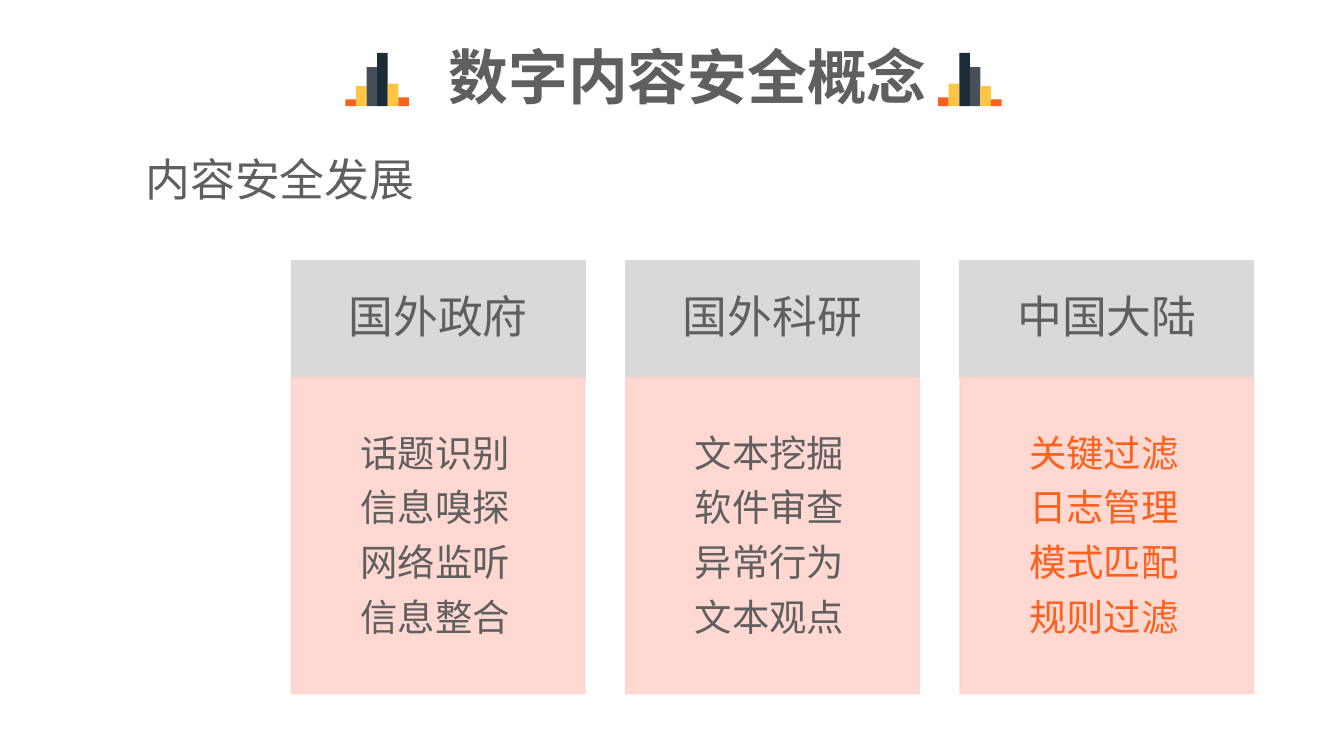
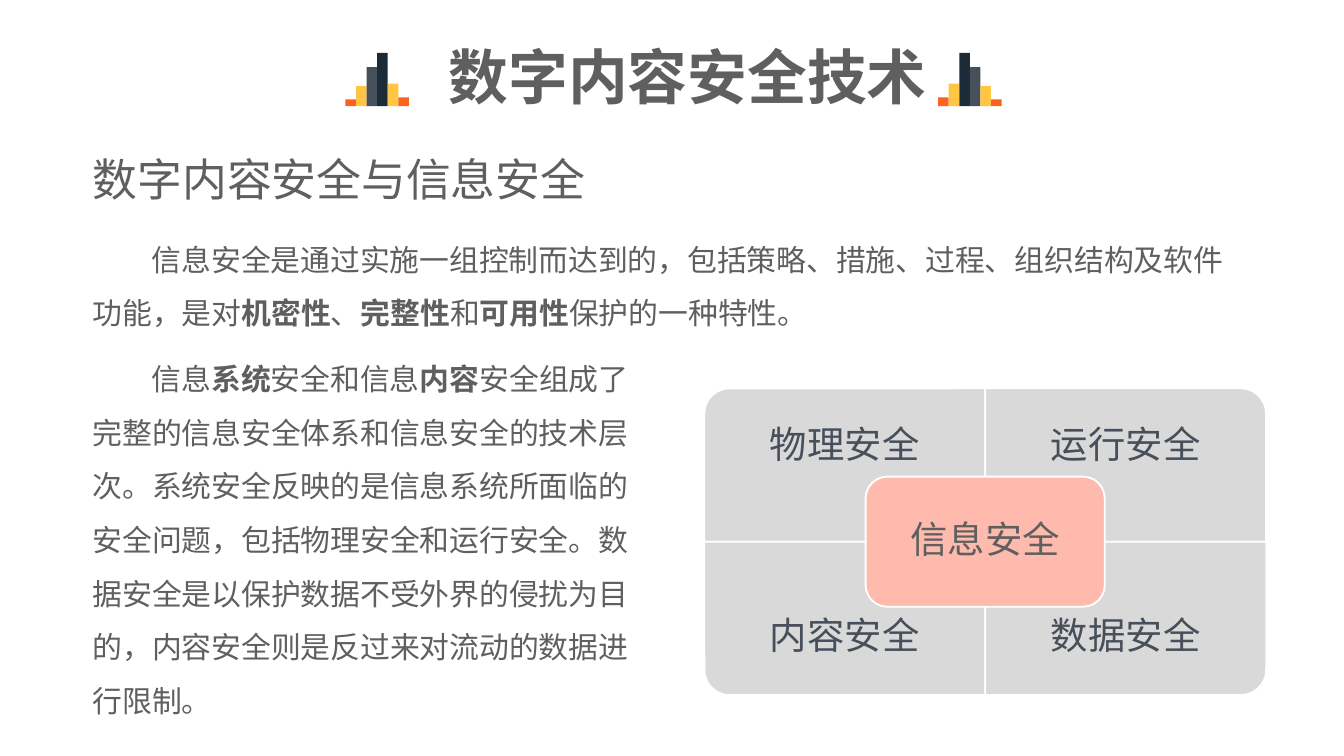
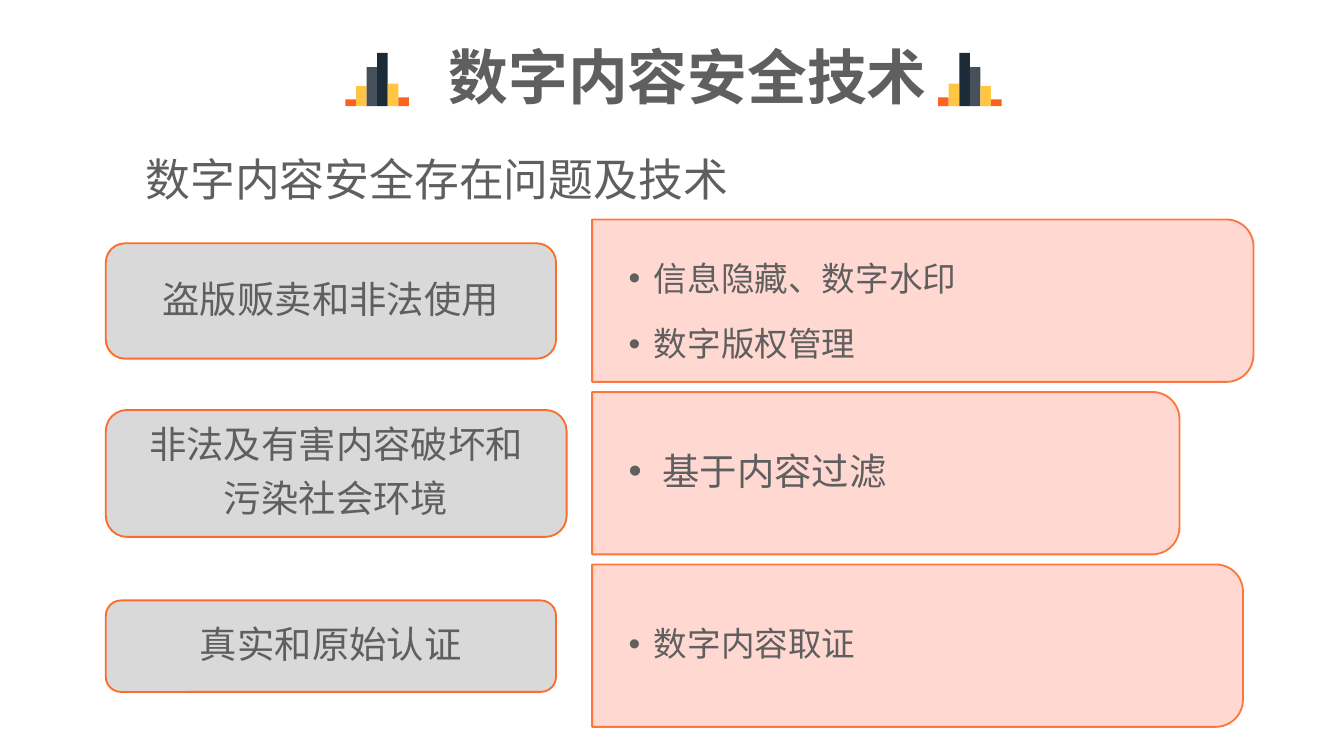
from dataclasses import dataclass

from lxml import etree
from pptx import Presentation
from pptx.dml.color import RGBColor
from pptx.enum.shapes import MSO_SHAPE
from pptx.enum.text import MSO_ANCHOR, MSO_AUTO_SIZE, PP_ALIGN
from pptx.oxml.ns import qn
from pptx.util import Cm, Pt

RECT = MSO_SHAPE.RECTANGLE
ROUNDED = MSO_SHAPE.ROUNDED_RECTANGLE
ONE_ROUND = MSO_SHAPE.ROUND_1_RECTANGLE
TWO_ROUND = MSO_SHAPE.ROUND_2_SAME_RECTANGLE
TOP, MIDDLE = MSO_ANCHOR.TOP, MSO_ANCHOR.MIDDLE
LEFT, CENTER = PP_ALIGN.LEFT, PP_ALIGN.CENTER
NO_AUTOFIT = MSO_AUTO_SIZE.NONE


@dataclass(frozen=True)
class Theme:
    text: str = "5F5F5F"
    slate: str = "464F5A"
    navy: str = "1C2B38"
    orange: str = "FC611F"
    outline: str = "FC6C2C"
    yellow: str = "FFC543"
    gray: str = "D9D9D9"
    blush: str = "FED4CD"
    salmon: str = "FDBAAD"
    white: str = "FFFFFF"
    east_asian: str = "Noto Sans CJK SC"
    latin: str = "Arial"
    title: int = 32
    heading: int = 24
    label: int = 20
    item: int = 18
    body: int = 16


THEME = Theme()
DEFAULT_MARGINS = (0.25, 0.13, 0.25, 0.13)
LABEL_MARGINS = (0.2, 0.1, 0.2, 0.1)
TILE_MARGINS = (0.41, 0.41, 0.41, 0.41)
ANSWER_MARGINS = (0.69, 0.36, 0.69, 0.36)

SKYLINE = [
    (0.13, THEME.orange),
    (0.38, THEME.yellow),
    (0.74, THEME.slate),
    (1.01, THEME.navy),
    (0.43, THEME.yellow),
    (0.17, THEME.orange),
]

COLUMNS = [
    ("国外政府", ["话题识别", "信息嗅探", "网络监听", "信息整合"], THEME.text),
    ("国外科研", ["文本挖掘", "软件审查", "异常行为", "文本观点"], THEME.text),
    ("中国大陆", ["关键过滤", "日志管理", "模式匹配", "规则过滤"], THEME.orange),
]

INTRO = (
    "信息安全是通过实施一组控制而达到的，包括策略、措施、过程、组织结构及软件功能，"
    "是对**机密性**、**完整性**和**可用性**保护的一种特性。"
)
LAYERS = (
    "信息**系统**安全和信息**内容**安全组成了完整的信息安全体系和信息安全的技术层次。"
    "系统安全反映的是信息系统所面临的安全问题，包括物理安全和运行安全。"
    "数据安全是以保护数据不受外界的侵扰为目的，内容安全则是反过来对流动的数据进行限制。"
)

# Tile text with the turn that brings its rounded corner outside
TILES = [("物理安全", 270), ("运行安全", 0), ("内容安全", 180), ("数据安全", 90)]

# Problem lines, label top, width and height; answers, width, type size,
# line spacing and hanging indent
PROBLEMS = [
    (["盗版贩卖和非法使用"], 4.6, 8.51, 2.18,
     ["信息隐藏、数字水印", "数字版权管理"], 12.5, THEME.item, 1.5, 0.48),
    (["非法及有害内容破坏和", "污染社会环境"], 7.75, 8.71, 2.4,
     ["基于内容过滤"], 11.1, THEME.label, 0.9, 0.64),
    (["真实和原始认证"], 11.35, 8.51, 1.73,
     ["数字内容取证"], 12.3, THEME.item, 0.9, 0.48),
]


def rgb(value):
    return RGBColor.from_string(value)


def set_alpha(fill_parent, percent):
    for color in fill_parent.iter(qn("a:srgbClr")):
        alpha = etree.SubElement(color, qn("a:alpha"))
        alpha.set("val", str(percent * 1000))


def place(box, left, top, width, height):
    box.left, box.top = Cm(left), Cm(top)
    box.width, box.height = Cm(width), Cm(height)


def prepare_frame(box, margins=DEFAULT_MARGINS, anchor=MIDDLE):
    frame = box.text_frame
    frame.auto_size = NO_AUTOFIT
    frame.word_wrap = True
    frame.vertical_anchor = anchor
    (frame.margin_left, frame.margin_top,
     frame.margin_right, frame.margin_bottom) = map(Cm, margins)
    return frame


def add_para(frame, text, size, color=THEME.text, font=THEME.latin, bold=False,
             align=LEFT, spacing=1.0, before=0, after=0.0, first_line=0.0, hanging=0.0):
    """Add a paragraph; **marks** embolden, after is a share of the type size."""
    first = frame.paragraphs[0]
    para = frame.add_paragraph() if first.runs else first
    para.alignment = align
    para.line_spacing = spacing
    para.space_before = Pt(before)
    para.space_after = Pt(size * after)
    properties = para._p.get_or_add_pPr()
    properties.set("marL", str(Cm(hanging)))
    properties.set("indent", str(Cm(first_line - hanging)))
    if hanging:
        etree.SubElement(properties, qn("a:buFont")).set("typeface", THEME.latin)
        etree.SubElement(properties, qn("a:buChar")).set("char", "•")
    else:
        etree.SubElement(properties, qn("a:buNone"))
    for index, part in enumerate(text.split("**")):
        span = para.add_run()
        span.text = part
        span.font.size = Pt(size)
        span.font.bold = bold or index % 2 == 1
        span.font.color.rgb = rgb(color)
        span.font.name = font
        east_asian = etree.SubElement(span._r.get_or_add_rPr(), qn("a:ea"))
        east_asian.set("typeface", THEME.east_asian)


def add_text_box(page, left, top, width, height, margins=DEFAULT_MARGINS, anchor=MIDDLE):
    box = page.shapes.add_textbox(Cm(left), Cm(top), Cm(width), Cm(height))
    return prepare_frame(box, margins, anchor)


def add_panel(shapes, kind, left, top, width, height, fill, line=None, turn=0, opacity=100):
    """Add a filled shape that covers the given area after its turn."""
    if turn % 180:
        left, top = left + (width - height) / 2, top + (height - width) / 2
        width, height = height, width
    panel = shapes.add_shape(kind, Cm(left), Cm(top), Cm(width), Cm(height))
    panel.rotation = turn
    panel.shadow.inherit = False
    panel.fill.solid()
    panel.fill.fore_color.rgb = rgb(fill)
    if line:
        panel.line.color.rgb = rgb(line)
        panel.line.width = Pt(1)
    else:
        panel.line.fill.background()
    if opacity < 100:
        set_alpha(panel._element.spPr, opacity)
    return panel


def add_label(frame, text, size=THEME.label, color=THEME.text):
    add_para(frame, text, size, color, align=CENTER, spacing=0.9, after=0.35)


def add_skyline(page, left, bars):
    group = page.shapes.add_group_shape()
    pitch, bottom = 0.2, 2.01
    for index, (height, color) in enumerate(bars):
        add_panel(group.shapes, RECT, left + index * pitch, bottom - height,
                  pitch, height, color)


def add_page(deck, title, heading, heading_left, body_height=1.27):
    """Add a titled page and return it with the text frame of its body."""
    page = deck.slides.add_slide(deck.slide_layouts[1])
    place(page.shapes.title, 8.23, 0.61, 9.68, 2.06)
    add_para(prepare_frame(page.shapes.title), title, THEME.title,
             font=THEME.east_asian, bold=True, spacing=0.6)
    add_skyline(page, 6.53, SKYLINE)
    add_skyline(page, 17.73, SKYLINE[::-1])
    body = page.placeholders[1]
    place(body, heading_left, 2.74, 22.43, body_height)
    frame = prepare_frame(body, anchor=TOP)
    add_para(frame, heading, THEME.heading, font=THEME.east_asian)
    return page, frame


def add_column(page, left, name, items, color):
    top, width, head_height, list_height = 4.93, 5.54, 2.21, 5.97
    head = add_panel(page.shapes, RECT, left, top, width, head_height,
                     THEME.gray, THEME.gray)
    add_label(prepare_frame(head, (0.48, 0.28, 0.48, 0.28)), name, THEME.heading)
    panel = add_panel(page.shapes, RECT, left, top + head_height, width, list_height,
                      THEME.blush, THEME.blush, opacity=90)
    frame = prepare_frame(panel, (0.3, 0.3, 0.41, 0.43))
    for item in items:
        add_para(frame, item, THEME.label, color, align=CENTER, spacing=1.1, after=0.15)


def add_security_matrix(page):
    left, top, width, height = 13.31, 7.34, 5.31, 2.9
    text_height = 2.18
    for index, (text, turn) in enumerate(TILES):
        row, column = divmod(index, 2)
        tile_left, tile_top = left + column * width, top + row * height
        add_panel(page.shapes, ONE_ROUND, tile_left, tile_top, width, height,
                  THEME.gray, THEME.white, turn)
        text_top = tile_top + row * (height - text_height)
        frame = add_text_box(page, tile_left, text_top, width, text_height, TILE_MARGINS)
        add_label(frame, text, color=THEME.slate)
    hub_width, hub_height = 4.52, 2.46
    hub = add_panel(page.shapes, ROUNDED, left + width - hub_width / 2,
                    top + height - hub_height / 2, hub_width, hub_height,
                    THEME.salmon, THEME.white)
    add_label(prepare_frame(hub, LABEL_MARGINS), "信息安全")


def add_problem(page, lines, top, width, height):
    label = add_panel(page.shapes, ROUNDED, 2, top, width, height,
                      THEME.gray, THEME.outline)
    frame = prepare_frame(label, LABEL_MARGINS)
    for line in lines:
        add_label(frame, line)


def add_answers(page, top, answers, width, size, spacing, hanging):
    left, height, inset = 11.19, 3.07, 0.15
    add_panel(page.shapes, TWO_ROUND, left, top, width, height,
              THEME.blush, THEME.outline, turn=90, opacity=90)
    frame = add_text_box(page, left, top + inset, width - inset, height - 2 * inset,
                         ANSWER_MARGINS)
    for answer in answers:
        add_para(frame, answer, size, spacing=spacing, after=0.15, hanging=hanging)


def build_development(deck):
    page, _ = add_page(deck, "数字内容安全概念", "内容安全发展", 2.5)
    for index, column in enumerate(COLUMNS):
        add_column(page, 5.51 + index * 6.32, *column)


def build_relation(deck):
    page, body = add_page(deck, "数字内容安全技术", "数字内容安全与信息安全", 1.5, 3.56)
    prose = dict(size=THEME.body, font=THEME.east_asian, spacing=1.5, first_line=1.12)
    add_para(body, INTRO, before=9.5, **prose)
    add_security_matrix(page)
    add_para(add_text_box(page, 1.5, 6.35, 10.8, 7.32, anchor=TOP), LAYERS, **prose)


def build_problems(deck):
    page, _ = add_page(deck, "数字内容安全技术", "数字内容安全存在问题及技术", 2.5)
    for index, (lines, top, width, height, *answer) in enumerate(PROBLEMS):
        add_answers(page, 4.15 + index * 3.26, *answer)
        add_problem(page, lines, top, width, height)


def main():
    deck = Presentation()
    deck.slide_width, deck.slide_height = Cm(25.4), Cm(14.29)
    build_development(deck)
    build_relation(deck)
    build_problems(deck)
    deck.save("out.pptx")


if __name__ == "__main__":
    main()
